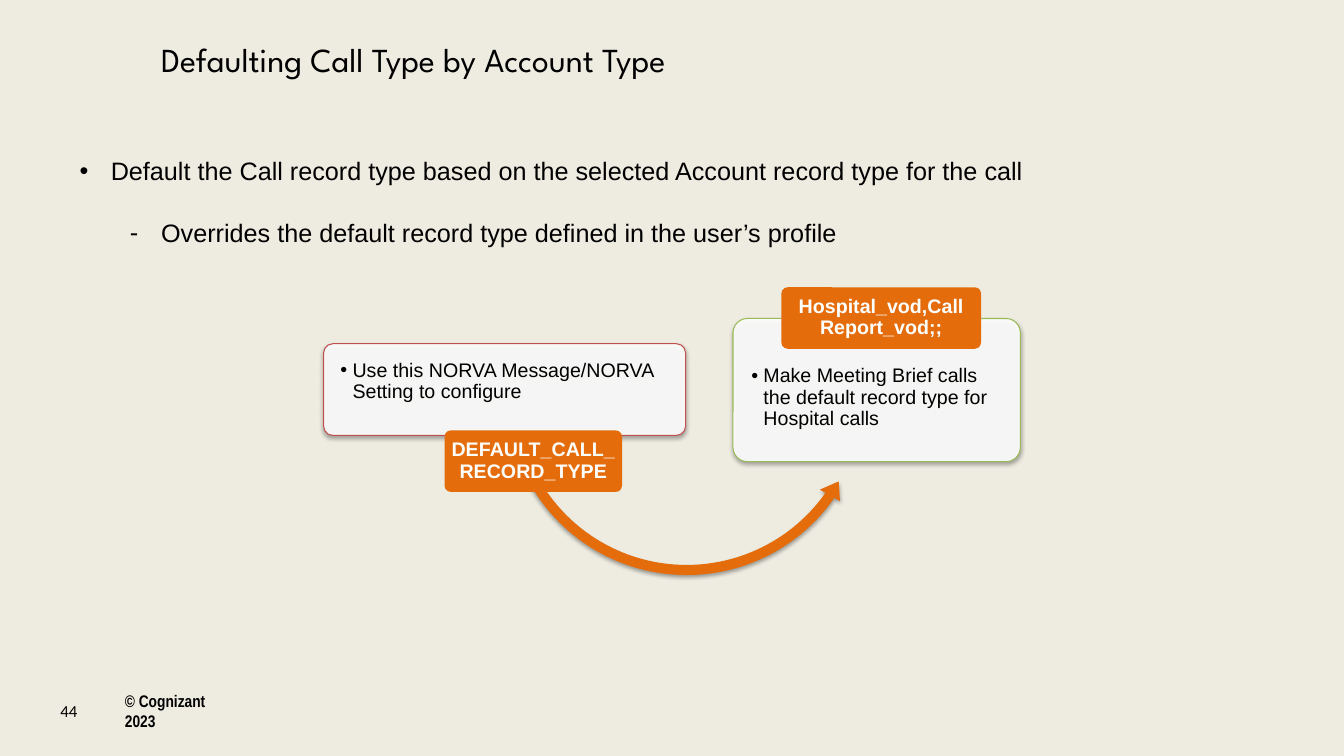
from dataclasses import dataclass
from lxml import etree
from pptx import Presentation
from pptx import util as u
from pptx.dml.color import RGBColor
from pptx.enum import shapes, text
from pptx.oxml.ns import qn


@dataclass
class Theme:
    paper: str = "EEECE1"
    ink: str = "000000"
    white: str = "FFFFFF"
    orange: str = "E46C0A"
    red: str = "C0504D"
    green: str = "9BBB59"
    title: int = 24
    body: int = 18
    card: int = 14
    footer: int = 12


theme = Theme()
deck = Presentation()
deck.slide_width, deck.slide_height = u.Inches(13.33), u.Inches(7.5)
page = deck.slides.add_slide(deck.slide_layouts[6])
page.background.fill.solid()
page.background.fill.fore_color.rgb = RGBColor.from_string(theme.paper)


def write(para, words, size, color=theme.ink, font="Arial", bold=False,
          bullet=None, indent=0, hang=0, **layout):
    """Fill one paragraph, with an optional hanging bullet."""
    for name, value in layout.items():
        setattr(para, name, value)
    if bullet:
        props = para._p.get_or_add_pPr()
        props.set("marL", str(u.Inches(indent)))
        props.set("indent", str(-u.Inches(hang)))
        etree.SubElement(props, qn("a:buFont"), typeface="Arial")
        etree.SubElement(props, qn("a:buChar"), char=bullet)
    span = para.add_run()
    span.text = words
    for name, value in {"size": u.Pt(size), "name": font, "bold": bold}.items():
        setattr(span.font, name, value)
    span.font.color.rgb = RGBColor.from_string(color)


def add_block(kind, place, fill, line=None, shadow=False, opacity=100):
    """Add a filled preset shape."""
    block = page.shapes.add_shape(kind, *map(u.Inches, place))
    block.shadow.inherit = False
    block.fill.solid()
    block.fill.fore_color.rgb = RGBColor.from_string(fill)
    if opacity < 100:
        color = block._element.spPr.find(qn("a:solidFill"))[0]
        etree.SubElement(color, qn("a:alpha"), val=str(opacity * 1000))
    if line:
        block.line.color.rgb = RGBColor.from_string(line)
        block.line.width = u.Pt(0.75)
    else:
        block.line.fill.background()
    if shadow:
        effects = block._element.spPr.find(qn("a:effectLst"))
        outer = etree.SubElement(
            effects, qn("a:outerShdw"), blurRad=str(u.Pt(3.1)),
            dist=str(u.Pt(1.8)), dir="5400000", rotWithShape="0")
        color = etree.SubElement(outer, qn("a:srgbClr"), val=theme.ink)
        etree.SubElement(color, qn("a:alpha"), val="35000")
    return block


# Title, bullets and footer
middle, top = text.MSO_ANCHOR.MIDDLE, text.MSO_ANCHOR.TOP
text_boxes = [
    ((1.5, 0.34, 10, 0.52), top,
     [dict(words="Defaulting Call Type by Account Type",
           size=theme.title, font="League Spartan")]),
    ((0.69, 1.49, 10.58, 1.01), top,
     [dict(words="Default the Call record type based on the selected Account "
                 "record type for the call",
           size=theme.body, bullet="•", indent=0.31, hang=0.31),
      dict(words="Overrides the default record type defined in the user’s profile",
           size=theme.body, bullet="-", indent=0.81, hang=0.31,
           level=1, space_before=u.Pt(23))]),
    ((0.5, 6.85, 0.39, 0.4), middle,
     [dict(words="44", size=theme.footer, font="Calibri")]),
    ((1.14, 6.85, 1.31, 0.4), middle,
     [dict(words="© Cognizant 2023", size=theme.footer,
           font="Arial Narrow", bold=True)]),
]
for place, anchor, lines in text_boxes:
    frame = page.shapes.add_textbox(*map(u.Inches, place)).text_frame
    frame.word_wrap = True
    frame.vertical_anchor = anchor
    for number, line in enumerate(lines):
        write(frame.add_paragraph() if number else frame.paragraphs[0], **line)

# Cards, each with an orange tag; the arrow lies between card and tag
rounded = shapes.MSO_SHAPE.ROUNDED_RECTANGLE
cards = [
    dict(place=(3.21, 3.41, 3.59, 0.91), edge=theme.red, inset_top=0.14,
         words="Use this NORVA Message/NORVA Setting to configure",
         tag_place=(4.41, 4.27, 1.76, 0.61), tag="DEFAULT_CALL_RECORD_TYPE",
         arrow=(4.96, 2.07, 3.7, 3.7)),
    dict(place=(7.27, 3.16, 2.85, 1.42), edge=theme.green, inset_top=0.43,
         words="Make Meeting Brief calls the default record type for Hospital calls",
         tag_place=(7.75, 2.85, 1.98, 0.61), tag="Hospital_vod,Call Report_vod;;",
         arrow=None),
]
for card in cards:
    box = add_block(rounded, card["place"], theme.white, card["edge"], True, 90)
    if card["arrow"]:
        arrow = add_block(shapes.MSO_SHAPE.LEFT_CIRCULAR_ARROW, card["arrow"],
                          theme.orange, shadow=True)
        for number, value in enumerate((0.027, 3.23, 20.985, 90.245, 0.031)):
            arrow.adjustments[number] = value
    tag = add_block(rounded, card["tag_place"], theme.orange)

    for block, anchor, sides, above, below in (
            (box, top, 0.14, card["inset_top"], 0.14),
            (tag, middle, 0.03, 0.02, 0.02)):
        block.adjustments[0] = 0.1
        settings = {"word_wrap": True, "vertical_anchor": anchor,
                    "margin_left": u.Inches(sides), "margin_right": u.Inches(sides),
                    "margin_top": u.Inches(above), "margin_bottom": u.Inches(below)}
        for name, value in settings.items():
            setattr(block.text_frame, name, value)
    write(box.text_frame.paragraphs[0], card["words"], theme.card,
          bullet="•", indent=0.12, hang=0.12, level=1, line_spacing=0.9,
          alignment=text.PP_ALIGN.LEFT)
    write(tag.text_frame.paragraphs[0], card["tag"], theme.card, theme.white,
          bold=True, line_spacing=0.9, alignment=text.PP_ALIGN.CENTER)

deck.save("out.pptx")
